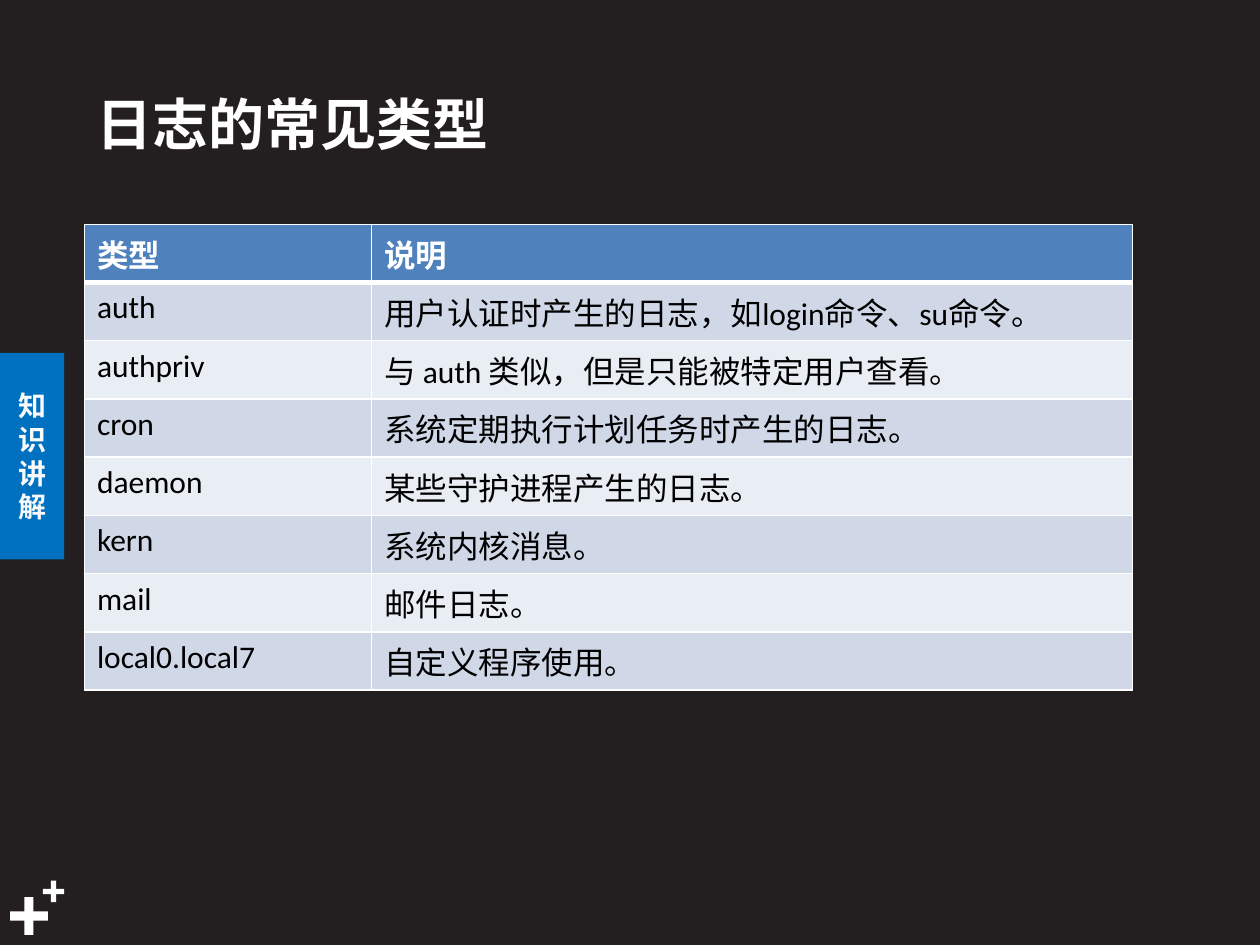
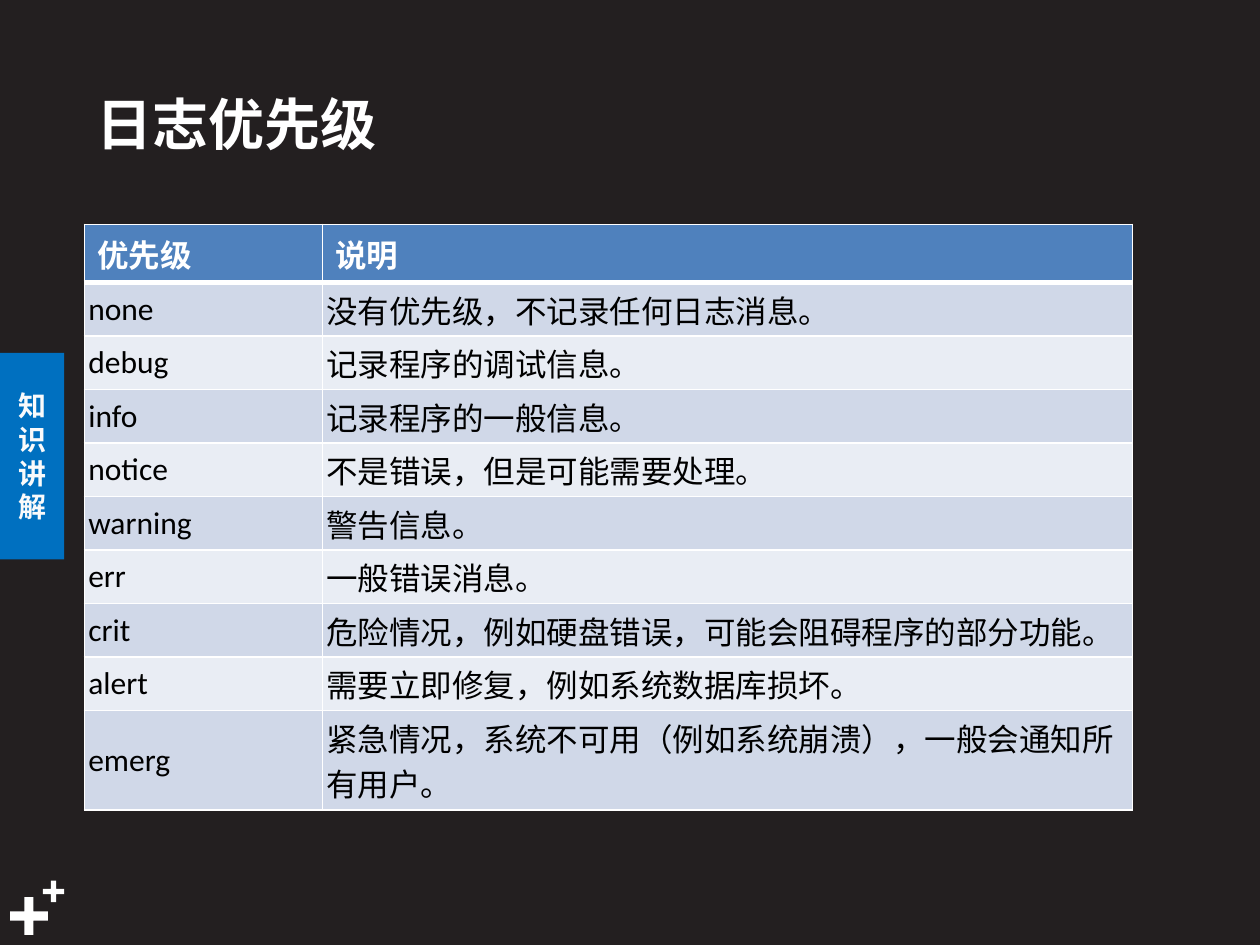
"""Build two slides that list the common log types and the log priorities."""
from lxml import etree
from pptx import Presentation
from pptx.dml.color import RGBColor
from pptx.enum import shapes, text
from pptx.oxml import ns
from pptx.util import Inches, Pt

BACKGROUND, WHITE, BLACK = "231F20", "FFFFFF", "000000"
TAB_FILL, TAB_TEXT = "0070C0", "F9FAFB"
HEADER_FILL, BANDS = "4F81BD", ("E9EDF4", "D0D8E8")
LATIN, CHINESE = "Calibri", "Noto Sans CJK SC"
TABLE_LEFT, TABLE_TOP = Inches(0.67), Inches(1.78)
LINE_HEIGHT, NORMAL_MARGIN, COMPACT_MARGIN = Pt(26.1), Pt(3.6), Pt(2.25)
PLUSES = [(0.08, 7.12, 0.3), (0.34, 6.99, 0.17)]

TABLES = [
    {
        "title": "日志的常见类型",
        "widths": (2.28, 6.04),
        "compact": False,
        "two_line_rows": (),
        "rows": [
            ("类型", "说明"),
            ("auth", "用户认证时产生的日志，如login命令、su命令。"),
            ("authpriv", "与 auth 类似，但是只能被特定用户查看。"),
            ("cron", "系统定期执行计划任务时产生的日志。"),
            ("daemon", "某些守护进程产生的日志。"),
            ("kern", "系统内核消息。"),
            ("mail", "邮件日志。"),
            ("local0.local7", "自定义程序使用。"),
        ],
    },
    {
        "title": "日志优先级",
        "widths": (1.89, 6.43),
        "compact": True,
        "two_line_rows": ("emerg",),
        "rows": [
            ("优先级", "说明"),
            ("none", "没有优先级，不记录任何日志消息。"),
            ("debug", "记录程序的调试信息。"),
            ("info", "记录程序的一般信息。"),
            ("notice", "不是错误，但是可能需要处理。"),
            ("warning", "警告信息。"),
            ("err", "一般错误消息。"),
            ("crit", "危险情况，例如硬盘错误，可能会阻碍程序的部分功能。"),
            ("alert", "需要立即修复，例如系统数据库损坏。"),
            ("emerg", "紧急情况，系统不可用（例如系统崩溃），一般会通知所有用户。"),
        ],
    },
]


def paint(color_owner, color):
    """Fill an object with a solid colour given as a hex string."""
    color_owner.solid()
    color_owner.fore_color.rgb = RGBColor.from_string(color)


def write(frame, words, size, color, bold, font=CHINESE):
    """Put one formatted paragraph in a text frame."""
    frame.text = words
    span = frame.paragraphs[0].runs[0]
    span.font.size, span.font.bold, span.font.name = Pt(size), bold, font
    paint(span.font.fill, color)
    east_asian = etree.SubElement(span.font._element, ns.qn("a:ea"))
    east_asian.set("typeface", CHINESE)


deck = Presentation()
deck.slide_width, deck.slide_height = Inches(10), Inches(7.5)

for content in TABLES:
    page = deck.slides.add_slide(deck.slide_layouts[6])
    paint(page.background.fill, BACKGROUND)

    for left, top, size in PLUSES:
        plus = page.shapes.add_shape(shapes.MSO_SHAPE.CROSS, Inches(left), Inches(top),
                                     Inches(size), Inches(size))
        plus.adjustments[0] = 0.378
        plus.shadow.inherit = False
        paint(plus.fill, WHITE)
        plus.line.fill.background()

    tab = page.shapes.add_shape(shapes.MSO_SHAPE.RECTANGLE, 0, Inches(2.8),
                                Inches(0.51), Inches(1.64))
    tab.shadow.inherit = False
    paint(tab.fill, TAB_FILL)
    tab.line.fill.background()
    write(tab.text_frame, "知识讲解", 16, TAB_TEXT, True)
    tab.text_frame.paragraphs[0].alignment = text.PP_ALIGN.CENTER
    tab.text_frame.vertical_anchor = text.MSO_ANCHOR.MIDDLE

    title = page.shapes.add_textbox(Inches(0.67), Inches(0.59), Inches(7.4), Inches(0.78))
    title.text_frame.word_wrap = True
    title.text_frame.vertical_anchor = text.MSO_ANCHOR.MIDDLE
    write(title.text_frame, content["title"], 32, WHITE, True)

    rows, widths = content["rows"], content["widths"]
    table = page.shapes.add_table(
        len(rows), len(widths), TABLE_LEFT, TABLE_TOP,
        Inches(sum(widths)), LINE_HEIGHT * len(rows)).table
    for column, width in zip(table.columns, widths):
        column.width = Inches(width)

    for row_index, row in enumerate(rows):
        is_header = row_index == 0
        is_compact = content["compact"] and not is_header
        margin = COMPACT_MARGIN if is_compact else NORMAL_MARGIN
        line_count = 2 if row[0] in content["two_line_rows"] else 1
        table.rows[row_index].height = line_count * LINE_HEIGHT + 2 * margin
        for column_index, words in enumerate(row):
            cell = table.cell(row_index, column_index)
            write(cell.text_frame, words, 18, WHITE if is_header else BLACK, is_header, LATIN)
            cell.margin_top = cell.margin_bottom = margin
            if is_compact:
                cell.vertical_anchor = text.MSO_ANCHOR.MIDDLE
                cell.margin_left = cell.margin_right = margin

            properties = cell._tc.get_or_add_tcPr()
            for side in "LRTB":
                thick = (row_index, side) in ((0, "B"), (1, "T"))
                border = etree.SubElement(properties, ns.qn(f"a:ln{side}"))
                border.set("w", str(Pt(3 if thick else 1)))
                solid = etree.SubElement(border, ns.qn("a:solidFill"))
                etree.SubElement(solid, ns.qn("a:srgbClr")).set("val", WHITE)
            paint(cell.fill, HEADER_FILL if is_header else BANDS[row_index % 2])

deck.save("out.pptx")
